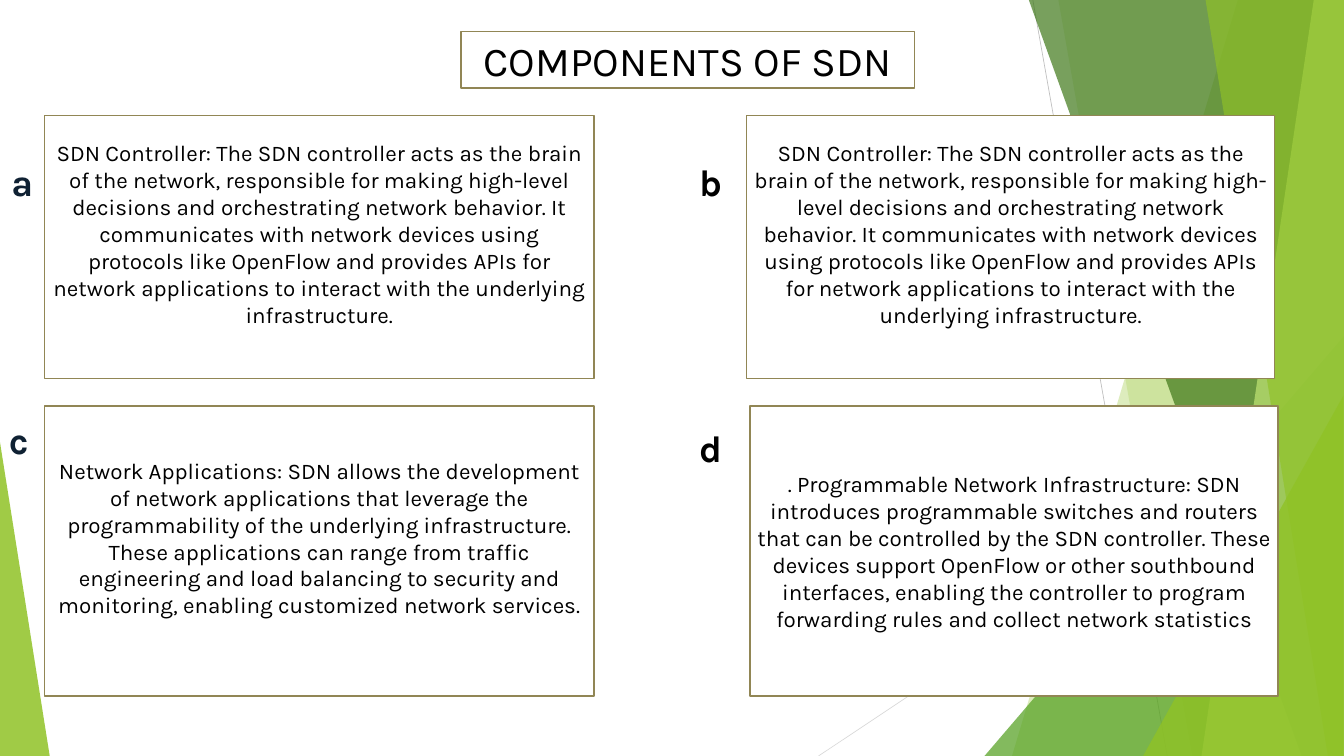
from lxml.etree import SubElement as Sub
from pptx import Presentation as Deck
from pptx.dml.color import RGBColor as Color
from pptx.enum.shapes import MSO_CONNECTOR as Wire, MSO_SHAPE as Form
from pptx.enum.text import MSO_ANCHOR as Anchor, MSO_AUTO_SIZE as Fit, PP_ALIGN as Align
from pptx.oxml.ns import qn
from pptx.util import Inches, Pt

COLS, ROWS = 20, 11.25
HUES = {
    "white": "FFFFFF", "black": "000000", "navy": "0F2133", "gold": "918655",
    "gray": "BFBFBF", "pale": "D9D9D9", "lime": "90C226", "leaf": "54A021",
    "moss": "3F7819", "mint": "C0E474",
}


class Page:
    font = "Karla"

    def __init__(self, deck):
        self.slide = deck.slides.add_slide(deck.slide_layouts[6])
        self.shapes = self.slide.shapes
        self.cell = deck.slide_width / COLS
        fill = self.slide.background.fill
        fill.solid()
        fill.fore_color.rgb = self.hue("white")

    def hue(self, name):
        return Color.from_string(HUES[name])

    def grid(self, *spans):
        return [round(n * self.cell) for n in spans]

    def paint(self, shape, hue, alpha=100):
        shape.shadow.inherit = False
        shape.fill.solid()
        shape.fill.fore_color.rgb = self.hue(hue)
        shape.line.fill.background()
        if alpha < 100:
            tint = shape._element.spPr.find(".//" + qn("a:srgbClr"))
            Sub(tint, qn("a:alpha"), val=str(alpha * 1000))

    def line(self, start, end, hue):
        wire = self.shapes.add_connector(Wire.STRAIGHT, *self.grid(*start, *end))
        wire.line.color.rgb = self.hue(hue)
        wire.line.width = Pt(0.75)
        Sub(wire._element.spPr, qn("a:effectLst"))

    def band(self, top, foot, hue, alpha, edge=COLS):
        pen = self.shapes.build_freeform(*self.grid(top, 0))
        spots = [(edge, 0), (edge, ROWS), (foot, ROWS)]
        pen.add_line_segments([self.grid(*spot) for spot in spots], close=True)
        self.paint(pen.convert_to_shape(), hue, alpha)

    def wedge(self, left, top, width, tip, hue, alpha):
        area = self.grid(left, top, width, ROWS - top)
        shape = self.shapes.add_shape(Form.ISOSCELES_TRIANGLE, *area)
        shape.adjustments[0] = tip
        self.paint(shape, hue, alpha)

    def text(self, frame, words, size, hue="black", bold=False):
        frame.word_wrap = True
        para = frame.paragraphs[0]
        para.alignment = Align.CENTER
        run = para.add_run()
        run.text = words
        font = run.font
        font.name, font.size, font.bold = self.font, Pt(size), bold
        font.color.rgb = self.hue(hue)
        return para

    def box(self, area, words, size=24, lift=0):
        shape = self.shapes.add_shape(Form.RECTANGLE, *self.grid(*area))
        self.paint(shape, "white")
        shape.line.color.rgb = self.hue("gold")
        shape.line.width = Pt(1.5)
        frame = shape.text_frame
        frame.vertical_anchor = Anchor.MIDDLE
        frame.margin_bottom = Inches(0.05 + lift)
        self.text(frame, words, size)

    def label(self, left, top, width, words, hue):
        area = self.grid(left, top, width, 0.81)
        frame = self.shapes.add_textbox(*area).text_frame
        frame.margin_left = frame.margin_right = 0
        frame.margin_top = frame.margin_bottom = 0
        frame.auto_size = Fit.SHAPE_TO_FIT_TEXT
        self.text(frame, words, 40, hue, True).line_spacing = 1.2


CORE = (
    "SDN Controller: The SDN controller acts as the brain of the network, "
    "responsible for making high-level decisions and orchestrating network "
    "behavior. It communicates with network devices using protocols like "
    "OpenFlow and provides APIs for network applications to interact with "
    "the underlying infrastructure."
)
APPS = (
    "Network Applications: SDN allows the development of network applications "
    "that leverage the programmability of the underlying infrastructure. These "
    "applications can range from traffic engineering and load balancing to "
    "security and monitoring, enabling customized network services."
)
INFRA = (
    ". Programmable Network Infrastructure: SDN introduces programmable "
    "switches and routers that can be controlled by the SDN controller. These "
    "devices support OpenFlow or other southbound interfaces, enabling the "
    "controller to program forwarding rules and collect network statistics"
)


def main():
    deck = Deck()
    deck.slide_width, deck.slide_height = Inches(COLS), Inches(ROWS)
    page = Page(deck)

    page.line((15.37, 0), (17.37, ROWS), "gray")
    page.line((COLS, 6.04), (12.18, ROWS), "pale")
    page.band(18.42, 15.06, "lime", 30)
    page.band(15.75, 17.74, "lime", 20)
    page.wedge(14.65, 5, 5.35, 1, "leaf", 72)
    page.band(15.31, 19.37, "moss", 70)
    page.band(19.55, 17.88, "mint", 70)
    page.band(17.94, 19.76, "lime", 65)
    page.wedge(17.01, 5.89, 2.98, 1, "lime", 80)
    page.wedge(0, 6.58, 0.74, 0, "lime", 85)

    for spot in [
        (-0.21, 2.23, 1.08, "a", "navy"),
        (10.37, 2.23, 0.41, "b", "black"),
        (10.37, 6.2, 0.41, "d", "black"),
    ]:
        page.label(*spot)

    wide, slim = 8.18, 7.86
    high, low = (1.72, 3.91), (6.04, 4.32)
    for left, width, (top, height), words, lift in [
        (0.66, wide, high, CORE, 0.4),
        (11.11, slim, high, CORE, 0.4),
        (0.66, wide, low, APPS, 0.4),
        (11.16, slim, low, INFRA, 0),
    ]:
        page.box((left, top, width, height), words, lift=lift)

    page.box((6.86, 0.47, 6.75, 0.84), "COMPONENTS OF SDN", 44)
    page.label(-0.26, 6.08, 1.08, "c", "navy")
    deck.save("out.pptx")


if __name__ == "__main__":
    main()
